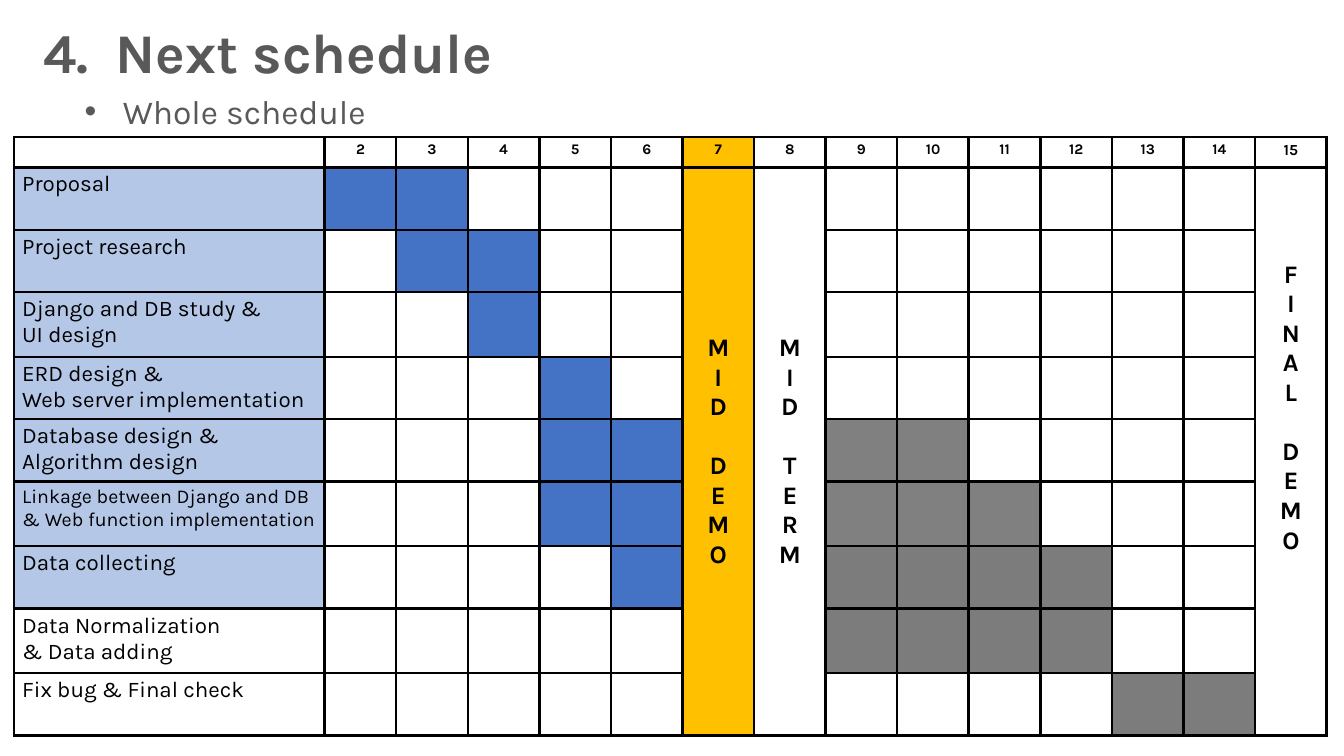
from lxml.etree import SubElement
from pptx import Presentation
from pptx.dml.color import RGBColor
from pptx.enum.text import MSO_ANCHOR, PP_ALIGN
from pptx.oxml.ns import qn
from pptx.util import Inches, Pt

COLORS = {
    "title": "595959",
    "ink": "000000",
    "blank": "FFFFFF",
    "label": "B4C7E7",
    "done": "4472C4",
    "demo": "FFC000",
    "planned": "808080",
    "later": "7C7C7C",
}
WEEKS = range(2, 16)
ROW_HEIGHTS = [0.3, 0.62, 0.62, 0.64, 0.62, 0.62, 0.64, 0.62, 0.64, 0.62]
THICK_EDGES = {4, 10}
TASKS = [
    ("Proposal", 16, "label", [(2, 3, "done")]),
    ("Project research", 16, "label", [(3, 4, "done")]),
    ("Django and DB study &\nUI design", 16, "label", [(4, 4, "done")]),
    ("ERD design &\nWeb server implementation", 16, "label", [(5, 5, "done")]),
    ("Database design & Algorithm design", 16, "label",
     [(5, 6, "done"), (9, 10, "planned")]),
    ("Linkage between Django and DB & Web function implementation", 14, "label",
     [(5, 6, "done"), (9, 11, "planned")]),
    ("Data collecting", 16, "label", [(6, 6, "done"), (9, 12, "later")]),
    ("Data Normalization\n& Data adding", 16, "blank", [(9, 12, "later")]),
    ("Fix bug & Final check", 16, "blank", [(13, 14, "later")]),
]
MILESTONES = [
    (7, ("MID", "DEMO"), MSO_ANCHOR.MIDDLE, 0.06),
    (8, ("MID", "TERM"), MSO_ANCHOR.MIDDLE, 0.06),
    (15, ("FINAL", "DEMO"), MSO_ANCHOR.TOP, 0.92),
]


class SchedulePage:
    font_name = "Karla"

    def __init__(self, deck):
        self.page = deck.slides.add_slide(deck.slide_layouts[6])

    def style(self, text_frame, size, color="ink", bold=False, align=None):
        for paragraph in text_frame.paragraphs:
            paragraph.alignment = align
            for span in paragraph.runs:
                span.font.name = self.font_name
                span.font.size = Pt(size)
                span.font.bold = bold
                span.font.color.rgb = RGBColor.from_string(COLORS[color])

    def heading(self, text, box, size, hang, bold=False, bullet=None):
        shape = self.page.shapes.add_textbox(*map(Inches, box))
        frame = shape.text_frame
        frame.word_wrap = True
        frame.text = text
        self.style(frame, size, "title", bold)
        settings = frame.paragraphs[0]._p.get_or_add_pPr()
        settings.set("marL", str(Inches(hang)))
        settings.set("indent", str(-Inches(hang)))
        if bullet:
            SubElement(settings, qn("a:buFont"), typeface="Arial")
            SubElement(settings, qn("a:buChar"), char=bullet)

    def grid(self, left, top, widths, heights):
        width, height = sum(widths), sum(heights)
        frame = self.page.shapes.add_table(
            len(heights), len(widths), *map(Inches, (left, top, width, height)))
        table = frame.table
        table.first_row = table.horz_banding = False
        for column, size in zip(table.columns, widths):
            column.width = Inches(size)
        for row, size in zip(table.rows, heights):
            row.height = Inches(size)
        return table

    def borders(self, cell, column):
        settings = cell._tc.get_or_add_tcPr()
        for side, edge in (("L", column), ("R", column + 1), ("T", 0), ("B", 0)):
            weight = 2.55 if edge in THICK_EDGES else 1.98
            line = SubElement(settings, qn(f"a:ln{side}"), w=str(Pt(weight)))
            fill = SubElement(line, qn("a:solidFill"))
            SubElement(fill, qn("a:srgbClr"), val=COLORS["ink"])

    def cell(self, table, row, column, fill, text="", size=10.5, bold=False, align=None):
        cell = table.cell(row, column)
        cell.margin_left = cell.margin_right = Inches(0.08)
        cell.margin_top = cell.margin_bottom = Inches(0.04)
        self.borders(cell, column)
        cell.fill.solid()
        cell.fill.fore_color.rgb = RGBColor.from_string(COLORS[fill])
        if text:
            cell.text_frame.text = text
            self.style(cell.text_frame, size, bold=bold, align=align)
        else:
            paragraph = cell.text_frame.paragraphs[0]._p
            SubElement(paragraph, qn("a:endParaRPr"), sz=str(Pt(size).centipoints))

    def milestone(self, table, column, words, anchor, top_margin):
        cell = table.cell(1, column)
        cell.merge(table.cell(len(TASKS), column))
        cell.vertical_anchor = anchor
        cell.margin_left = cell.margin_right = Inches(0.11)
        cell.margin_top = Inches(top_margin)
        cell.margin_bottom = Inches(0.06)
        frame = cell.text_frame
        frame.text = "\n".join("".join(words))
        self.style(frame, 18, bold=True, align=PP_ALIGN.CENTER)
        frame.paragraphs[len(words[0])].space_before = Pt(21)


def week_fill(week, bars):
    if week == 7:
        return "demo"
    return next((color for first, last, color in bars if first <= week <= last), "blank")


def main():
    deck = Presentation()
    deck.slide_width, deck.slide_height = Inches(13.33), Inches(7.5)
    schedule = SchedulePage(deck)
    schedule.heading("4.\tNext schedule", (0.33, 0.12, 6.12, 0.77), 40, 0.72, bold=True)
    schedule.heading("Whole schedule", (0.74, 0.85, 12.6, 0.5), 24, 0.38, bullet="•")

    table = schedule.grid(0.14, 1.36, [3.08] + [0.71] * len(WEEKS), ROW_HEIGHTS)
    schedule.cell(table, 0, 0, "blank")
    for column, week in enumerate(WEEKS, 1):
        schedule.cell(table, 0, column, week_fill(week, []), str(week),
                      11 if week == 15 else 10.5, True, PP_ALIGN.CENTER)
    for row, (task, size, label_fill, bars) in enumerate(TASKS, 1):
        schedule.cell(table, row, 0, label_fill, task, size)
        for column, week in enumerate(WEEKS, 1):
            schedule.cell(table, row, column, week_fill(week, bars))
    for week, words, anchor, top_margin in MILESTONES:
        schedule.milestone(table, WEEKS.index(week) + 1, words, anchor, top_margin)
    deck.save("out.pptx")


if __name__ == "__main__":
    main()
